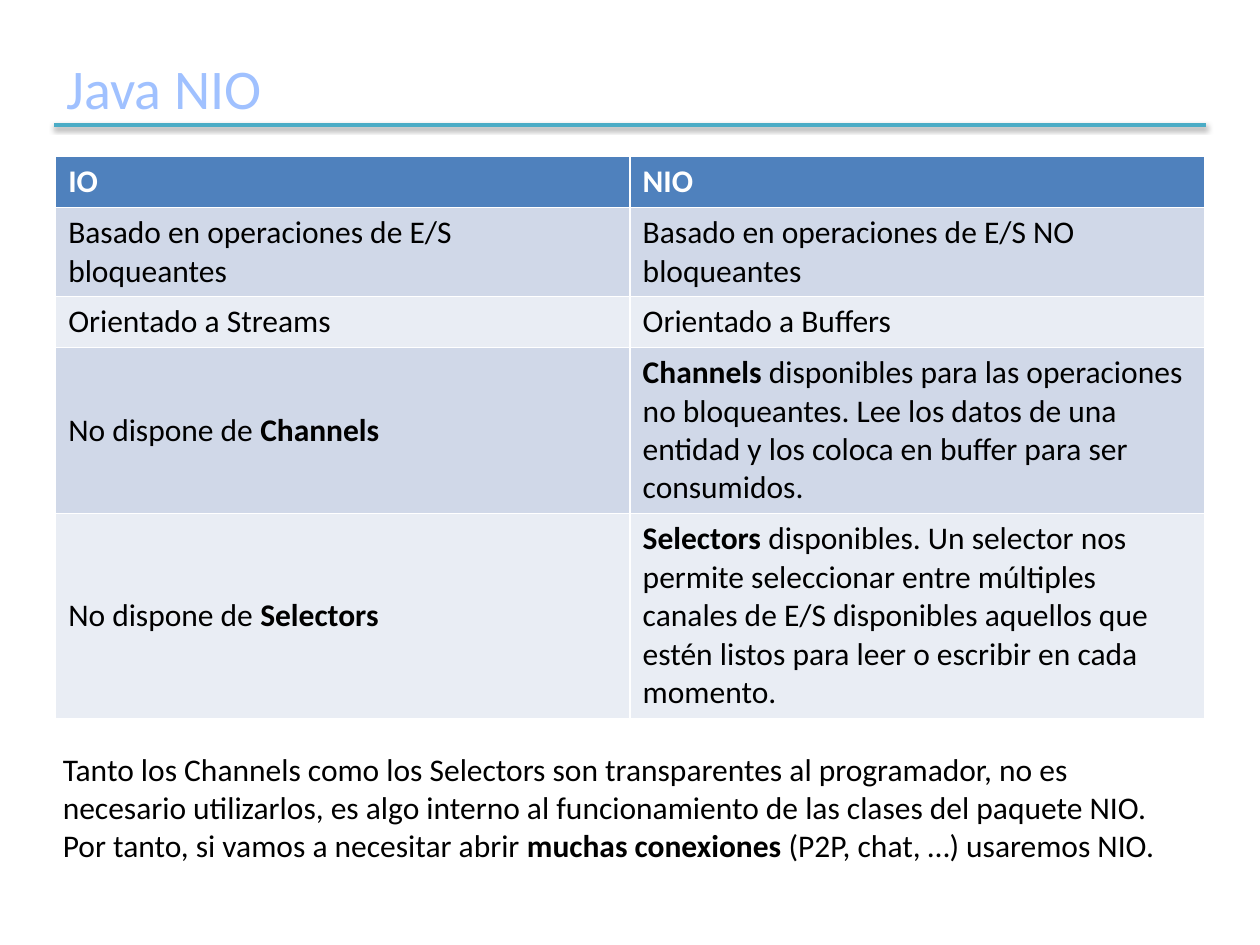
from lxml.etree import fromstring
from pptx import Presentation
from pptx.dml.color import RGBColor
from pptx.enum.shapes import MSO_CONNECTOR
from pptx.enum.text import MSO_ANCHOR
from pptx.util import Pt

FONT = "Calibri"
TITLE_BLUE = RGBColor(0xA0, 0xC1, 0xFF)
RULE_TEAL = RGBColor(0x4B, 0xAC, 0xC6)
HEADER_BLUE = RGBColor(0x4F, 0x81, 0xBD)
BANDS = [RGBColor(0xE9, 0xED, 0xF4), RGBColor(0xD0, 0xD8, 0xE8)]
WHITE = RGBColor(0xFF, 0xFF, 0xFF)
BLACK = RGBColor(0, 0, 0)

# Content: each text is a list of (words, bold) runs
TITLE = [("Java NIO", False)]
COMPARISON = [
    ([("IO", True)], [("NIO", True)]),
    ([("Basado en operaciones de E/S bloqueantes", False)],
     [("Basado en operaciones de E/S NO bloqueantes", False)]),
    ([("Orientado a Streams", False)], [("Orientado a Buffers", False)]),
    ([("No dispone de ", False), ("Channels", True)],
     [("Channels ", True),
      ("disponibles para las operaciones no bloqueantes. Lee los datos de una "
       "entidad y los coloca en buffer para ser consumidos.", False)]),
    ([("No dispone de ", False), ("Selectors", True)],
     [("Selectors ", True),
      ("disponibles. Un selector nos permite seleccionar entre múltiples canales "
       "de E/S disponibles aquellos que estén listos para leer o escribir en cada "
       "momento.", False)]),
]
CONCLUSION = [
    ("Tanto los Channels como los Selectors son transparentes al programador, no es "
     "necesario utilizarlos, es algo interno al funcionamiento de las clases del "
     "paquete NIO. Por tanto, si vamos a necesitar abrir ", False),
    ("muchas conexiones", True),
    (" (P2P, chat, …) usaremos NIO.", False),
]
ROW_HEIGHTS = [29, 51, 29, 95, 117]
COLUMN_WIDTH = 328.3

RULE_SHADOW = """
<a:effectLst xmlns:a="http://schemas.openxmlformats.org/drawingml/2006/main">
  <a:outerShdw blurRad="40000" dist="20000" dir="5400000" rotWithShape="0">
    <a:srgbClr val="000000"><a:alpha val="38000"/></a:srgbClr>
  </a:outerShdw>
</a:effectLst>"""


def write(frame, runs, size, color):
    paragraph = frame.paragraphs[0]
    paragraph.font.name = FONT
    paragraph.font.size = Pt(size)
    paragraph.font.color.rgb = color
    for words, bold in runs:
        run = paragraph.add_run()
        run.text = words
        run.font.bold = bold


def add_text(slide, runs, top, left, height, size, color, anchor):
    box = slide.shapes.add_textbox(Pt(left), Pt(top), Pt(658.8), Pt(height))
    box.text_frame.word_wrap = True
    box.text_frame.vertical_anchor = anchor
    write(box.text_frame, runs, size, color)


prs = Presentation()
prs.slide_width, prs.slide_height = Pt(720), Pt(540)
slide = prs.slides.add_slide(prs.slide_layouts[6])

# Title and the rule below it
add_text(slide, TITLE, 21, 31, 57, 32, TITLE_BLUE, MSO_ANCHOR.MIDDLE)
rule = slide.shapes.add_connector(MSO_CONNECTOR.STRAIGHT, Pt(31), Pt(71.3), Pt(689), Pt(71.3))
rule.line.color.rgb = RULE_TEAL
rule.line.width = Pt(2)
rule._element.spPr.append(fromstring(RULE_SHADOW))

# Comparison table; the default table style draws the white borders
table = slide.shapes.add_table(
    len(COMPARISON), 2, Pt(31.8), Pt(89.5), Pt(2 * COLUMN_WIDTH), Pt(sum(ROW_HEIGHTS))).table
for column in table.columns:
    column.width = Pt(COLUMN_WIDTH)
for r, (texts, height) in enumerate(zip(COMPARISON, ROW_HEIGHTS)):
    table.rows[r].height = Pt(height)
    for c, runs in enumerate(texts):
        cell = table.cell(r, c)
        cell.vertical_anchor = MSO_ANCHOR.MIDDLE
        cell.fill.solid()
        cell.fill.fore_color.rgb = BANDS[r % 2] if r else HEADER_BLUE
        write(cell.text_frame, runs, 18, BLACK if r else WHITE)

# Conclusion
add_text(slide, CONCLUSION, 425, 28.8, 72.7, 18, BLACK, MSO_ANCHOR.TOP)

prs.save("out.pptx")
